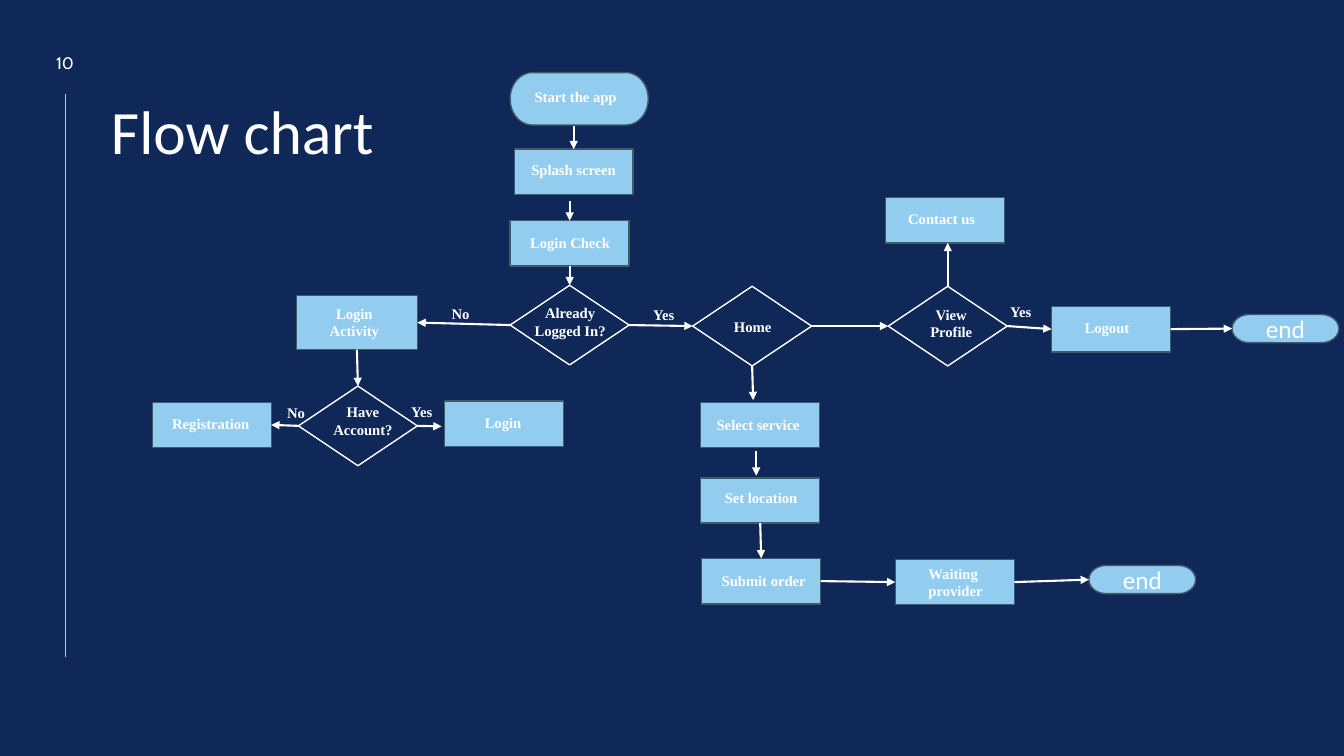
from typing import NamedTuple, Optional

from lxml.etree import SubElement
from pptx import Presentation
from pptx.dml.color import RGBColor
from pptx.enum.shapes import MSO_CONNECTOR, MSO_SHAPE
from pptx.enum.text import MSO_ANCHOR, MSO_AUTO_SIZE, PP_ALIGN
from pptx.oxml.ns import qn
from pptx.shapes.autoshape import Shape
from pptx.shapes.connector import Connector
from pptx.slide import Slide
from pptx.text.text import TextFrame
from pptx.util import Inches, Pt

NAVY = RGBColor(0x10, 0x28, 0x57)
SKY = RGBColor(0x92, 0xCD, 0xF0)
SLATE = RGBColor(0x40, 0x5A, 0x69)
WHITE = RGBColor(0xFF, 0xFF, 0xFF)
PINK = RGBColor(0xF6, 0xA6, 0xF4)

PROCESS = MSO_SHAPE.FLOWCHART_PROCESS
DECISION = MSO_SHAPE.DIAMOND
TERMINATOR = MSO_SHAPE.FLOWCHART_TERMINATOR
LEFT, CENTER = PP_ALIGN.LEFT, PP_ALIGN.CENTER
TOP_SIDE, LEFT_SIDE, BOTTOM_SIDE, RIGHT_SIDE = range(4)

STEP_SIZE = (1.18, 0.45)
DECISION_SIZE = (1.18, 0.79)
END_SIZE = (1.06, 0.28)
LINE_BOX = (1.06, 0.28)
LABEL_BOX = (0.45, 0.29)

Pair = tuple[float, float]


class Caption(NamedTuple):
    text: str
    position: Pair
    size: Pair = LINE_BOX
    alignment: PP_ALIGN = LEFT


class Node(NamedTuple):
    name: str
    position: Pair
    caption: Optional[Caption] = None
    kind: MSO_SHAPE = PROCESS
    size: Pair = STEP_SIZE


class End(NamedTuple):
    """An arrow end: a side of a node, or a free point when node is empty."""
    node: str = ""
    side: int = TOP_SIDE
    point: Pair = (0, 0)


class Arrow(NamedTuple):
    start: End
    finish: End


NODES = [
    Node("start", (5.06, 0.72), Caption("Start the app", (5.18, 0.82), LINE_BOX, CENTER),
         TERMINATOR, (1.37, 0.52)),
    Node("splash", (5.1, 1.48), Caption("Splash screen", (5.16, 1.55), LINE_BOX, CENTER)),
    Node("check", (5.06, 2.19), Caption("Login Check", (5.16, 2.27))),
    Node("logged in", (5.06, 2.83),
         Caption("Already Logged In?", (5.1, 2.97), (1.11, 0.47), CENTER), DECISION, DECISION_SIZE),
    Node("activity", (2.94, 2.93),
         Caption("Login\nActivity", (2.98, 2.97), (1.07, 0.45), CENTER), PROCESS, (1.2, 0.54)),
    Node("account", (2.96, 3.83),
         Caption("Have\nAccount?", (3.18, 3.95), (0.84, 0.47), CENTER), DECISION, DECISION_SIZE),
    Node("registration", (1.51, 3.99), Caption("Registration", (1.61, 4.07))),
    Node("login", (4.41, 3.98), Caption("Login", (4.71, 4.06))),
    Node("home", (6.87, 2.84), Caption("Home", (7.06, 3.1), (0.81, 0.28), CENTER),
         DECISION, DECISION_SIZE),
    Node("profile", (8.81, 2.84), Caption("View Profile", (9.07, 2.98), (0.73, 0.45), CENTER),
         DECISION, DECISION_SIZE),
    Node("contact", (8.78, 1.96), Caption("Contact us", (8.91, 2.03))),
    Node("logout", (10.43, 3.04), Caption("Logout", (10.66, 3.11))),
    Node("service", (6.95, 3.99), Caption("Select service", (7.01, 4.08))),
    Node("location", (6.95, 4.74), Caption("Set location", (7.09, 4.8))),
    Node("order", (6.96, 5.54), Caption("Submit order", (7.06, 5.62))),
    Node("waiting", (8.88, 5.55), Caption("Waiting provider", (9.11, 5.55), STEP_SIZE)),
    Node("order end", (10.8, 5.61), None, TERMINATOR, END_SIZE),
    Node("logout end", (12.22, 3.12), None, TERMINATOR, END_SIZE),
]

BRANCH_LABELS = [
    Caption("Yes", (6.38, 2.98), LABEL_BOX),
    Caption("Yes", (3.98, 3.95), LABEL_BOX),
    Caption("Yes", (9.92, 2.96), LABEL_BOX),
    Caption("No", (4.38, 2.97), LABEL_BOX),
    Caption("No", (2.75, 3.96), LABEL_BOX),
]

ARROWS = [
    Arrow(End(point=(5.69, 1.25)), End("splash", TOP_SIDE)),
    Arrow(End(point=(5.65, 1.99)), End("check", TOP_SIDE)),
    Arrow(End("check", BOTTOM_SIDE), End("logged in", TOP_SIDE)),
    Arrow(End("logged in", RIGHT_SIDE), End("home", LEFT_SIDE)),
    Arrow(End("logged in", LEFT_SIDE), End("activity", RIGHT_SIDE)),
    Arrow(End("activity", BOTTOM_SIDE), End("account", TOP_SIDE)),
    Arrow(End("account", RIGHT_SIDE), End(point=(4.38, 4.23))),
    Arrow(End("account", LEFT_SIDE), End("registration", RIGHT_SIDE)),
    Arrow(End("home", RIGHT_SIDE), End("profile", LEFT_SIDE)),
    Arrow(End("profile", RIGHT_SIDE), End("logout", LEFT_SIDE)),
    Arrow(End("profile", TOP_SIDE), End(point=(9.4, 2.41))),
    Arrow(End("logout", RIGHT_SIDE), End("logout end", LEFT_SIDE)),
    Arrow(End("home", BOTTOM_SIDE), End(point=(7.47, 3.97))),
    Arrow(End(point=(7.5, 4.47)), End(point=(7.5, 4.72))),
    Arrow(End("location", BOTTOM_SIDE), End("order", TOP_SIDE)),
    Arrow(End("order", RIGHT_SIDE), End("waiting", LEFT_SIDE)),
    Arrow(End("waiting", RIGHT_SIDE), End("order end", LEFT_SIDE)),
]


def write_text(frame: TextFrame, text: str, font: str, size: float,
               alignment: PP_ALIGN = CENTER, bold: bool = False) -> None:
    frame.word_wrap = True
    paragraph = frame.paragraphs[0]
    paragraph.alignment = alignment
    for index, line in enumerate(text.split("\n")):
        if index:
            paragraph.add_line_break()
        run = paragraph.add_run()
        run.text = line
        run.font.name = font
        run.font.size = Pt(size)
        run.font.bold = bold
        run.font.color.rgb = WHITE


def add_text_frame(slide: Slide, position: Pair, size: Pair) -> TextFrame:
    box = slide.shapes.add_textbox(*map(Inches, position + size))
    return box.text_frame


def add_caption(slide: Slide, caption: Caption) -> None:
    frame = add_text_frame(slide, caption.position, caption.size)
    write_text(frame, caption.text, "Times New Roman", 10.5, caption.alignment, bold=True)
    frame.auto_size = MSO_AUTO_SIZE.SHAPE_TO_FIT_TEXT


def add_node(slide: Slide, node: Node) -> Shape:
    shape = slide.shapes.add_shape(node.kind, *map(Inches, node.position + node.size))
    shape.shadow.inherit = False
    shape.line.width = Pt(1)
    if node.kind == DECISION:
        shape.fill.background()
        shape.line.color.rgb = WHITE
    else:
        shape.fill.solid()
        shape.fill.fore_color.rgb = SKY
        shape.line.color.rgb = SLATE
    if node.caption:
        add_caption(slide, node.caption)
    else:
        shape.text_frame.vertical_anchor = MSO_ANCHOR.MIDDLE
        write_text(shape.text_frame, "end", "Calibri", 18)
    return shape


def add_line(slide: Slide, start: Pair, finish: Pair, color: RGBColor, width: float) -> Connector:
    line = slide.shapes.add_connector(MSO_CONNECTOR.STRAIGHT, *map(Inches, start + finish))
    line.line.color.rgb = color
    line.line.width = Pt(width)
    SubElement(line._element.spPr, qn("a:effectLst"))
    return line


def add_arrow(slide: Slide, arrow: Arrow, shapes: dict[str, Shape]) -> None:
    connector = add_line(slide, arrow.start.point, arrow.finish.point, WHITE, 1.5)
    SubElement(connector.line._get_or_add_ln(), qn("a:tailEnd"), type="triangle")
    if arrow.start.node:
        connector.begin_connect(shapes[arrow.start.node], arrow.start.side)
    if arrow.finish.node:
        connector.end_connect(shapes[arrow.finish.node], arrow.finish.side)


def add_title(slide: Slide) -> None:
    frame = add_text_frame(slide, (-0.12, 0.82), (4.55, 0.85))
    write_text(frame, "Flow chart", "Calibri", 44)
    paragraph = frame.paragraphs[0]
    paragraph.line_spacing = 1.07
    paragraph.space_after = Pt(8)
    paragraph._p.get_or_add_pPr().set("marL", str(Inches(0.5)))


def add_slide_number(slide: Slide) -> None:
    frame = add_text_frame(slide, (0.36, 0.45), (0.57, 0.34))
    frame.vertical_anchor = MSO_ANCHOR.MIDDLE
    write_text(frame, "10", "Cabin", 12)


def main() -> None:
    presentation = Presentation()
    presentation.slide_width = Inches(13.33)
    presentation.slide_height = Inches(7.5)
    slide = presentation.slides.add_slide(presentation.slide_layouts[6])
    slide.background.fill.solid()
    slide.background.fill.fore_color.rgb = NAVY

    add_line(slide, (0.65, 0.93), (0.65, 6.52), PINK, 0.5)
    add_slide_number(slide)
    add_title(slide)
    shapes = {node.name: add_node(slide, node) for node in NODES}
    for arrow in ARROWS:
        add_arrow(slide, arrow, shapes)
    for label in BRANCH_LABELS:
        add_caption(slide, label)
    presentation.save("out.pptx")


if __name__ == "__main__":
    main()
